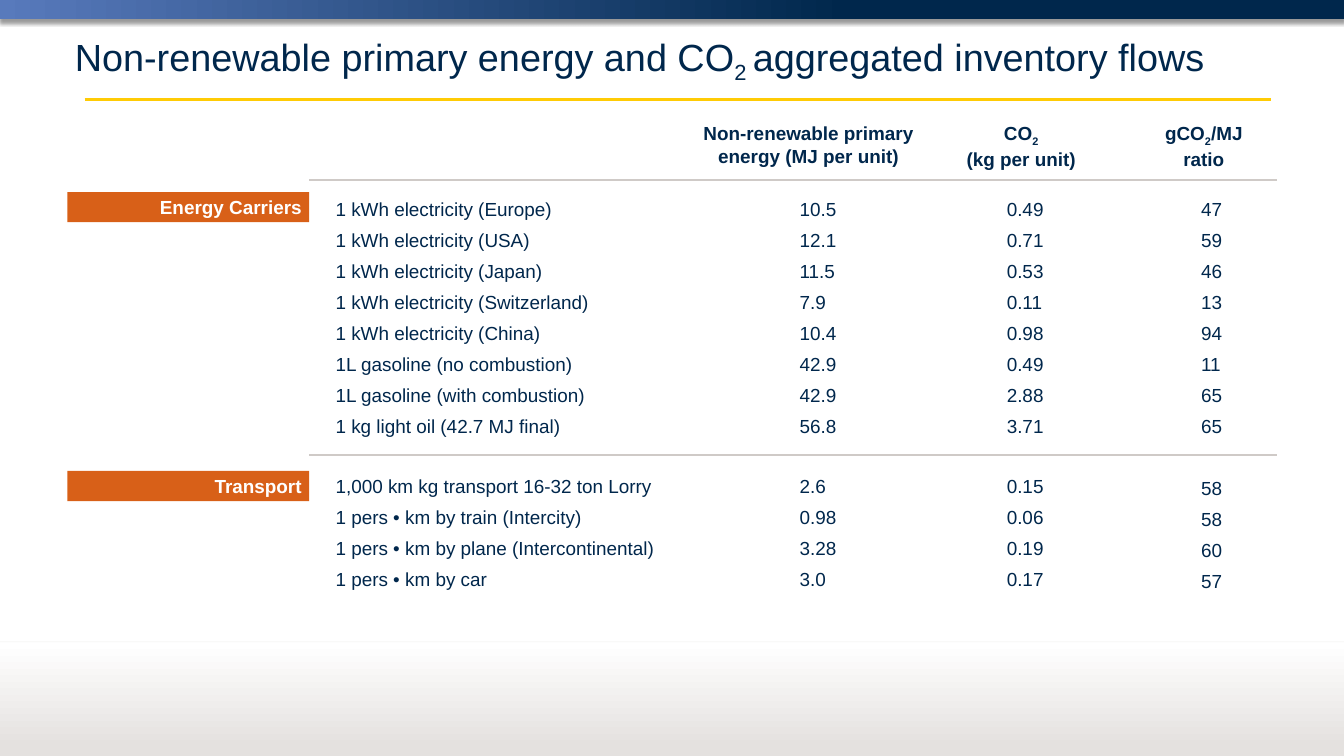
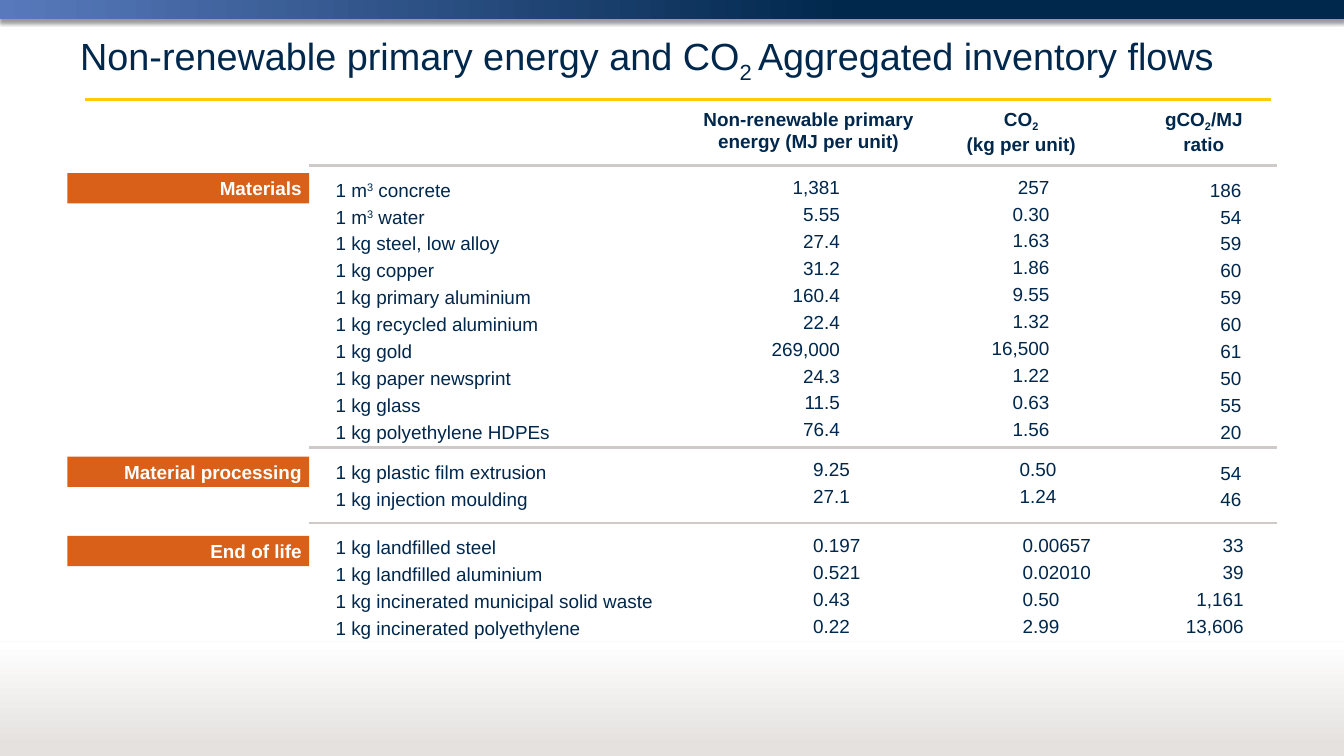
import pptx
import pptx.util
import pptx.dml.color
import pptx.enum.shapes
import pptx.enum.text
import pptx.oxml
import pptx.oxml.ns
from lxml import etree

Inches, Pt = pptx.util.Inches, pptx.util.Pt
Align = pptx.enum.text.PP_ALIGN
Fit = pptx.enum.text.MSO_AUTO_SIZE
Anchor = pptx.enum.text.MSO_ANCHOR
RECT = pptx.enum.shapes.MSO_SHAPE.RECTANGLE
STRAIGHT = pptx.enum.shapes.MSO_CONNECTOR.STRAIGHT

HEX = {"navy": "00274C", "blue": "587ABC", "gold": "FFCB05", "mist": "E4E1DF",
       "white": "FFFFFF", "rust": "D86018", "rule": "CFCAC7", "black": "000000"}
SIDE = {"l": Align.LEFT, "c": Align.CENTER, "r": Align.RIGHT}
RISE = {"_": "-25000", "^": "30000"}
WIDE, HIGH = 17.78, 10
NAME_X, NAME_W = 4.34, 4.85

HEADS = [
    ("Non-renewable primary\nenergy (MJ per unit)", 9.19, 3.01),
    ("CO|_2\n|(kg per unit)", 12.68, 1.66),
    ("gCO|_2|/MJ\nratio", 15.3, 1.25),
]

PAGES = [
    {
        "title": "Non-renewable primary energy and CO|_2 |aggregated inventory flows",
        "at": (0.89, 0.31), "head": 1.56, "gap": 8, "rules": (2.38, 6.02),
        "groups": [
            {"tag": "Energy Carriers", "y": 2.54, "top": 2.56,
             "cols": [(10.48, 2.56, 0.98, "l"), (13.22, 2.56, 0.98, "l"), (15.79, 2.56, 0.73, "l")],
             "rows": [
                 ("1 kWh electricity (Europe)", "10.5", "0.49", "47"),
                 ("1 kWh electricity (USA)", "12.1", "0.71", "59"),
                 ("1 kWh electricity (Japan)", "11.5", "0.53", "46"),
                 ("1 kWh electricity (Switzerland)", "7.9", "0.11", "13"),
                 ("1 kWh electricity (China)", "10.4", "0.98", "94"),
                 ("1L gasoline (no combustion)", "42.9", "0.49", "11"),
                 ("1L gasoline (with combustion)", "42.9", "2.88", "65"),
                 ("1 kg light oil (42.7 MJ final)", "56.8", "3.71", "65"),
             ]},
            {"tag": "Transport", "y": 6.23, "top": 6.23,
             "cols": [(10.48, 6.23, 0.98, "l"), (13.22, 6.23, 0.98, "l"), (15.79, 6.25, 0.98, "l")],
             "rows": [
                 ("1,000 km kg transport 16-32 ton Lorry", "2.6", "0.15", "58"),
                 ("1 pers • km by train (Intercity)", "0.98", "0.06", "58"),
                 ("1 pers • km by plane (Intercontinental)", "3.28", "0.19", "60"),
                 ("1 pers • km by car", "3.0", "0.17", "57"),
             ]},
        ],
    },
    {
        "title": "Non-renewable primary energy and CO|_2 |Aggregated inventory flows",
        "at": (0.96, 0.3), "head": 1.37, "gap": 4, "rules": (2.19, 5.92, 6.92),
        "groups": [
            {"tag": "Materials", "y": 2.29, "top": 2.31,
             "cols": [(10.06, 2.28, 1.15, "r"), (13, 2.27, 0.98, "r"), (15.79, 2.31, 0.73, "r")],
             "rows": [
                 ("1 m|^3| concrete", "1,381", "257", "186"),
                 ("1 m|^3| water", "5.55", "0.30", "54"),
                 ("1 kg steel, low alloy", "27.4", "1.63", "59"),
                 ("1 kg copper", "31.2", "1.86", "60"),
                 ("1 kg primary aluminium", "160.4", "9.55", "59"),
                 ("1 kg recycled aluminium", "22.4", "1.32", "60"),
                 ("1 kg gold", "269,000", "16,500", "61"),
                 ("1 kg paper newsprint", "24.3", "1.22", "50"),
                 ("1 kg glass", "11.5", "0.63", "55"),
                 ("1 kg polyethylene HDPEs", "76.4", "1.56", "20"),
             ]},
            {"tag": "Material processing", "y": 6.04, "top": 6.04,
             "cols": [(10.66, 6.01, 0.96, "l"), (13.39, 6.01, 0.96, "l"), (15.56, 6.05, 0.96, "r")],
             "rows": [
                 ("1 kg plastic film extrusion", "9.25", "0.50", "54"),
                 ("1 kg injection moulding", "27.1", "1.24", "46"),
             ]},
            {"tag": "End of life", "y": 7.09, "top": 7.04,
             "cols": [(10.66, 7.01, 0.97, "l"), (13.43, 7.01, 1.44, "l"), (15.11, 7.01, 1.44, "r")],
             "rows": [
                 ("1 kg landfilled steel", "0.197", "0.00657", "33"),
                 ("1 kg landfilled aluminium", "0.521", "0.02010", "39"),
                 ("1 kg incinerated municipal solid waste", "0.43", "0.50", "1,161"),
                 ("1 kg incinerated polyethylene", "0.22", "2.99", "13,606"),
             ]},
        ],
    },
]


def tint(name):
    return pptx.dml.color.RGBColor.from_string(HEX[name])


def apply(item, vals):
    for key, val in vals.items():
        setattr(item, key, val)


def write(frame, lines, size=18, color="navy", bold=False, side="l", gap=0, **vals):
    apply(frame, vals)
    for num, line in enumerate(lines):
        para = frame.add_paragraph() if num else frame.paragraphs[0]
        apply(para, {"alignment": SIDE[side], "space_after": Pt(gap)})
        for part in line.split("|"):
            rise = RISE.get(part[0])
            for row, text in enumerate(part.lstrip("_^").split("\n")):
                if row:
                    para.add_line_break()
                if not text:
                    continue
                run = para.add_run()
                run.text = text
                apply(run.font, {"name": "Arial", "size": Pt(size), "bold": bold})
                run.font.color.rgb = tint(color)
                if rise:
                    run.font._element.set("baseline", rise)


def block(slide, lines, x, y, w, h, wrap=True, **vals):
    box = slide.shapes.add_textbox(*map(Inches, (x, y, w, h)))
    write(box.text_frame, lines, word_wrap=wrap, auto_size=Fit.SHAPE_TO_FIT_TEXT, **vals)


def bar(slide, x, y, w, h, color):
    shape = slide.shapes.add_shape(RECT, *map(Inches, (x, y, w, h)))
    shape.shadow.inherit = False
    shape.line.fill.background()
    if isinstance(color, str):
        shape.fill.solid()
        shape.fill.fore_color.rgb = tint(color)
    else:
        stops, angle = color
        shape.fill.gradient()
        shape.fill.gradient_angle = angle
        for stop, (name, place) in zip(shape.fill.gradient_stops, stops):
            stop.color.rgb = tint(name)
            stop.position = place
    return shape


def rule(slide, left, right, y, color, width):
    line = slide.shapes.add_connector(STRAIGHT, *map(Inches, (left, y, right, y)))
    line.line.color.rgb = tint(color)
    line.line.width = Pt(width)
    etree.SubElement(line.element.spPr, pptx.oxml.ns.qn("a:effectLst"))
    return line


def alpha(node, part):
    etree.SubElement(node, pptx.oxml.ns.qn("a:alpha")).set("val", str(part * 1000))


def shade(shape, part, blur, dist):
    qn = pptx.oxml.ns.qn
    glow = etree.SubElement(shape.element.spPr.find(qn("a:effectLst")), qn("a:outerShdw"))
    for key, val in {"blurRad": Pt(blur), "dist": Pt(dist), "dir": 5400000,
                     "algn": "t", "rotWithShape": 0}.items():
        glow.set(key, str(val))
    node = etree.SubElement(glow, qn("a:srgbClr"))
    node.set("val", HEX["black"])
    alpha(node, part)


def frame(slide, master):
    band = bar(slide, 0, 0, WIDE, 0.25, ([("blue", 0), ("navy", 0.63)], 0))
    shade(band, 40, 4, 3)
    gold = rule(slide, 1.12, 16.81, 1.32, "gold", 3)
    foot = bar(slide, 0, 8.5, WIDE, 1.5, ([("mist", 0.08), ("white", 1)], 90))
    edge = rule(slide, 0, WIDE, 8.49, "mist", 0.75)
    alpha(edge.element.xpath(".//a:ln//a:srgbClr")[0], 30)
    shade(edge, 38, 3.1, 1.6)
    for num, shape in enumerate((band, gold, foot, edge)):
        shape.element.xpath(".//p:cNvPr")[0].set("id", str(100 + num))
        master.shapes.element.insert(2 + num, shape.element)


def build(slide, page):
    x, y = page["at"]
    title = slide.shapes.title
    apply(title, {"left": Inches(x), "top": Inches(y), "width": Inches(16), "height": Inches(0.95)})
    write(title.text_frame, [page["title"]], size=36, word_wrap=True,
          auto_size=Fit.NONE, vertical_anchor=Anchor.MIDDLE)
    for y in page["rules"]:
        rule(slide, 4.09, 16.89, y, "rule", 2)
    for text, x, w in HEADS:
        block(slide, [text], x, page["head"], w, 0.71, wrap=False, bold=True, side="c")
    for group in page["groups"]:
        tag = bar(slide, 0.89, group["y"], 3.2, 0.4, "rust")
        write(tag.text_frame, [group["tag"]], color="white", bold=True, side="r",
              vertical_anchor=Anchor.MIDDLE)
        spots = [(NAME_X, group["top"], NAME_W, "l")] + group["cols"]
        high = len(group["rows"]) * (0.3 + page["gap"] / 72) + 0.05
        for (x, y, w, side), lines in zip(spots, zip(*group["rows"])):
            block(slide, lines, x, y, w, high, side=side, gap=page["gap"])


def main():
    deck = pptx.Presentation()
    apply(deck, {"slide_width": Inches(WIDE), "slide_height": Inches(HIGH)})
    for num, page in enumerate(PAGES):
        slide = deck.slides.add_slide(deck.slide_layouts[5])
        if not num:
            frame(slide, deck.slide_master)
        build(slide, page)
    deck.save("out.pptx")


if __name__ == "__main__":
    main()
